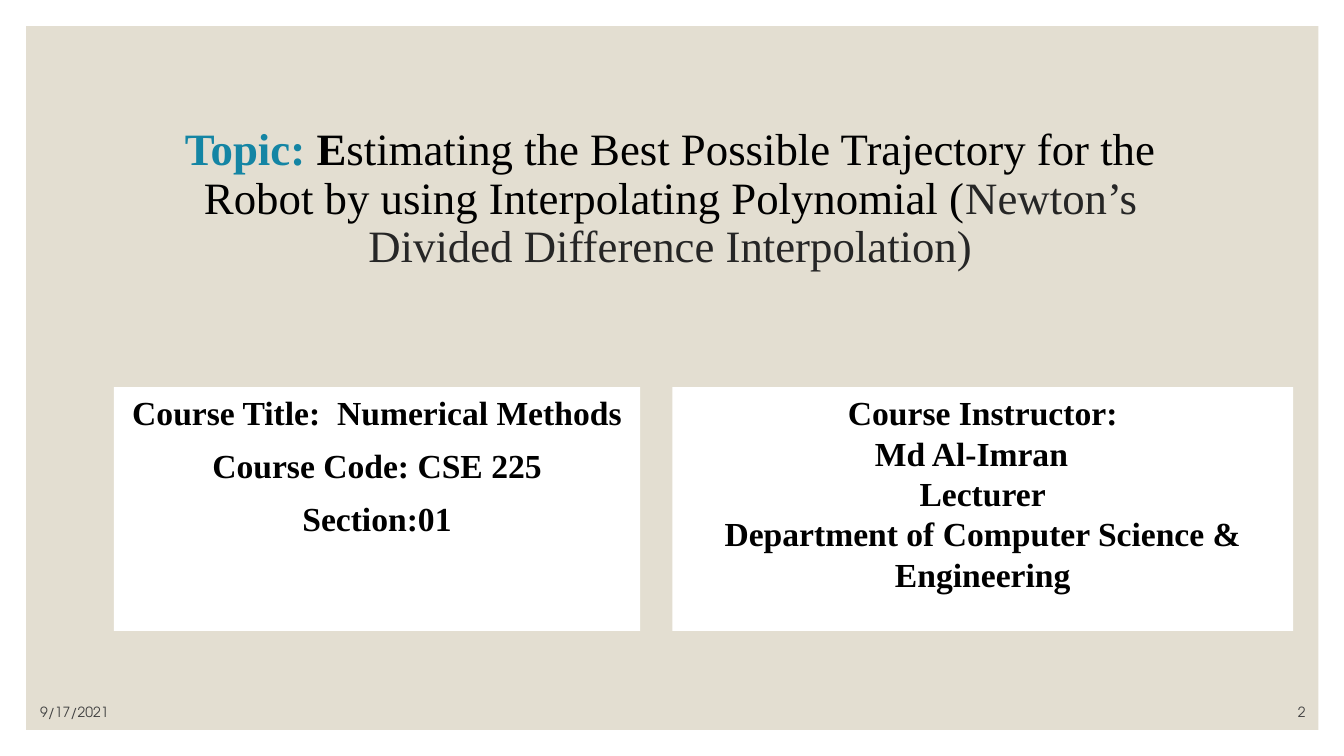
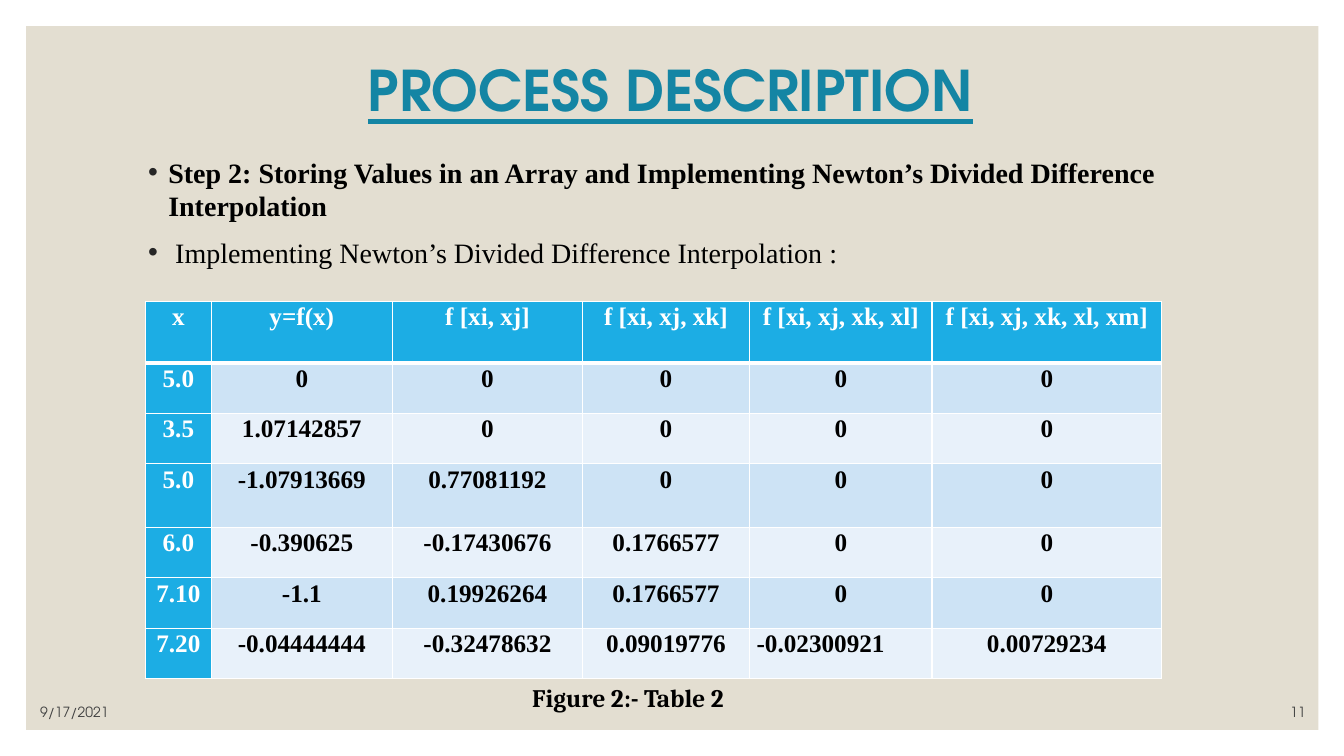
from lxml.etree import SubElement
from pptx import Presentation
from pptx.dml.color import RGBColor
from pptx.enum.shapes import MSO_SHAPE as SHAPE
from pptx.enum.text import MSO_ANCHOR as ANCHOR, MSO_AUTO_SIZE as AUTO, PP_ALIGN as ALIGN
from pptx.oxml.ns import qn
from pptx.util import Pt

SAND, WHITE, BLACK, TEAL = "E3DED1", "FFFFFF", "000000", "1485A4"
DARK, GREY, BLUE = "262626", "404040", "1CADE4"
BANDS = "CDE3F5", "E8F1FA"
SERIF, SANS = "Times New Roman", "TeX Gyre Adventor"
MID, LEFT, RIGHT = ALIGN.CENTER, ALIGN.LEFT, ALIGN.RIGHT


def tint(fill, code):
    fill.solid()
    fill.fore_color.rgb = RGBColor.from_string(code)


def write(par, text, size, code=BLACK, face=SERIF, bold=True, line=False, **form):
    """Add a run to a paragraph; form holds paragraph format values."""
    run = par.add_run()
    run.text = text
    look = dict(size=Pt(size), name=face, bold=bold, underline=line)
    for key, val in look.items():
        setattr(run.font, key, val)
    tint(run.font.fill, code)
    for key, val in form.items():
        setattr(par, key, val)


deck = Presentation()
deck.slide_width, deck.slide_height = Pt(960), Pt(540)
topic = deck.slides.add_slide(deck.slide_layouts[3])
steps = deck.slides.add_slide(deck.slide_layouts[1])

# Shared panel, kept on the master
panel = topic.shapes.add_shape(SHAPE.RECTANGLE, Pt(18.7), Pt(18.7), Pt(923), Pt(502.6))
panel.shadow.inherit = False
tint(panel.fill, SAND)
panel.line.fill.background()
deck.slide_master.shapes.element.insert(2, panel.element)

# Shared title style and footers
for slide, page, top, high in ((topic, "2", 88.6, 108), (steps, "11", 34, 65)):
    title = slide.shapes.title
    title.left, title.top, title.width, title.height = Pt(83), Pt(top), Pt(792), Pt(high)
    title.text_frame.vertical_anchor = ANCHOR.MIDDLE
    title.text_frame.auto_size = AUTO.NONE
    title.text_frame.paragraphs[0].alignment = MID
    title.text_frame.paragraphs[0].line_spacing = 0.9
    for text, left, wide, side in (("9/17/2021", 21.6, 216, LEFT), (page, 824.4, 115.2, RIGHT)):
        foot = slide.shapes.add_textbox(Pt(left), Pt(496.8), Pt(wide), Pt(21.6)).text_frame
        foot.word_wrap = True
        foot.vertical_anchor = ANCHOR.BOTTOM
        write(foot.paragraphs[0], text, 10, GREY, SANS, False, alignment=side)

# Topic slide
head = topic.shapes.title.text_frame.paragraphs[0]
for text, code, bold in (
    ("Topic: ", TEAL, True),
    ("E", BLACK, True),
    ("stimating the Best Possible Trajectory for the Robot by using "
     "Interpolating Polynomial (", BLACK, False),
    ("Newton’s Divided Difference Interpolation)", DARK, False),
):
    write(head, text, 32, code, bold=bold)

# Each line: text, left indent (None centres it)
course = [("Course Title:  Numerical Methods", None), ("Course Code: CSE 225", None),
          ("Section:01", None)]
tutor = [("Course Instructor:", None), ("Md Al-Imran", 137.5), ("Lecturer", None),
         ("Department of Computer Science & Engineering", None)]
for slot, left, wide, gap, lines in ((1, 81.4, 375.8, 9, course), (2, 480.2, 443.5, 0, tutor)):
    box = topic.placeholders[slot]
    box.left, box.top, box.width, box.height = Pt(left), Pt(276.5), Pt(wide), Pt(174.2)
    tint(box.fill, WHITE)
    frame = box.text_frame
    frame.auto_size = AUTO.NONE
    for num, (text, inset) in enumerate(lines):
        par = frame.add_paragraph() if num else frame.paragraphs[0]
        write(par, text, 24, alignment=MID if inset is None else LEFT, space_before=Pt(gap))
        prop = par._p.get_or_add_pPr()
        prop.set("marL", str(Pt(inset or 0)))
        prop.set("indent", "0")
        SubElement(prop, qn("a:buNone"))

# Process slide
write(steps.shapes.title.text_frame.paragraphs[0], "PROCESS DESCRIPTION", 40, TEAL, SANS, line=True)

body = steps.placeholders[1]
body.left, body.top, body.width, body.height = Pt(98.6), Pt(107.3), Pt(777.6), Pt(100)
frame = body.text_frame
frame.auto_size = AUTO.NONE
points = (
    ("Step 2: Storing Values in an Array and Implementing Newton’s Divided Difference "
     "Interpolation", True),
    (" Implementing Newton’s Divided Difference Interpolation :", False),
)
for num, (text, bold) in enumerate(points):
    par = frame.add_paragraph() if num else frame.paragraphs[0]
    write(par, text, 20, bold=bold, space_before=Pt(9))
    prop = par._p.get_or_add_pPr()
    prop.set("marL", str(Pt(14.4)))
    prop.set("indent", str(-Pt(14.4)))
    SubElement(SubElement(prop, qn("a:buClr")), qn("a:srgbClr"), val=DARK)

rows = (
    ("x", "y=f(x)", "f [xi, xj]", "f [xi, xj, xk]", "f [xi, xj, xk, xl]", "f [xi, xj, xk, xl, xm]"),
    ("5.0", "0", "0", "0", "0", "0"),
    ("3.5", "1.07142857", "0", "0", "0", "0"),
    ("5.0", "-1.07913669", "0.77081192", "0", "0", "0"),
    ("6.0", "-0.390625", "-0.17430676", "0.1766577", "0", "0"),
    ("7.10", "-1.1", "0.19926264", "0.1766577", "0", "0"),
    ("7.20", "-0.04444444", "-0.32478632", "0.09019776", "-0.02300921", "0.00729234"),
)
wides = 46.8, 129.6, 135.6, 119.5, 130.3, 164
highs = 44, 36, 36, 45.5, 36, 36, 36
grid = steps.shapes.add_table(len(rows), len(wides), Pt(104), Pt(215.3),
                              Pt(sum(wides)), Pt(sum(highs))).table
for col, wide in zip(grid.columns, wides):
    col.width = Pt(wide)
for r, (row, high) in enumerate(zip(rows, highs)):
    grid.rows[r].height = Pt(high)
    for c, text in enumerate(row):
        cell = grid.cell(r, c)
        cell.margin_left = cell.margin_right = Pt(5)
        cell.margin_top = cell.margin_bottom = 0
        key = r == 0 or c == 0
        write(cell.text_frame.paragraphs[0], text, 18, WHITE if key else BLACK,
              alignment=LEFT if text == "-0.02300921" else MID,
              line_spacing=1.07, space_after=Pt(8))
        prop = cell._tc.get_or_add_tcPr()
        for side in "LRTB":
            thick = 3 if (r, side) in ((0, "B"), (1, "T")) else 1
            edge = SubElement(prop, qn("a:ln" + side), w=str(Pt(thick)))
            SubElement(SubElement(edge, qn("a:solidFill")), qn("a:srgbClr"), val=WHITE)
        tint(cell.fill, BLUE if key else BANDS[(r - 1) % 2])

note = steps.shapes.add_textbox(Pt(373), Pt(483.8), Pt(170), Pt(28.8)).text_frame
note.word_wrap = True
write(note.paragraphs[0], "Figure 2:- Table 2", 18, face="Cambria")

deck.save("out.pptx")
